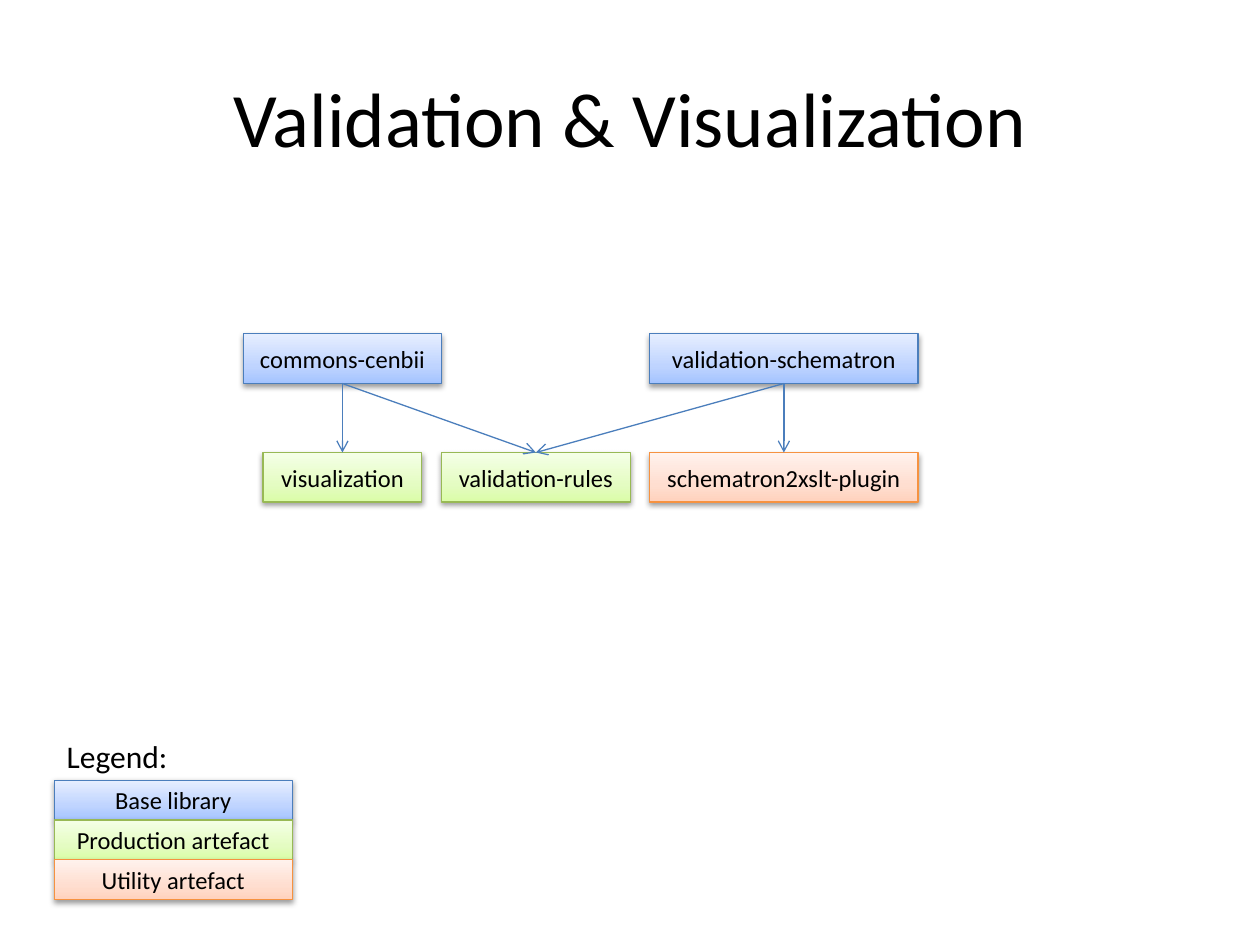
from copy import deepcopy
from dataclasses import dataclass

from lxml.etree import SubElement
from pptx import Presentation
from pptx.dml.color import RGBColor
from pptx.enum.shapes import MSO_CONNECTOR, MSO_SHAPE
from pptx.enum.text import MSO_ANCHOR, PP_ALIGN
from pptx.oxml.ns import qn
from pptx.shapes.autoshape import Shape
from pptx.slide import Slide
from pptx.text.text import TextFrame
from pptx.util import Pt

FONT = "Calibri"
BLACK = RGBColor(0x00, 0x00, 0x00)
BLUE_LINE = RGBColor(0x4B, 0x7E, 0xBC)
GREEN_LINE = RGBColor(0x98, 0xB9, 0x55)
ORANGE_LINE = RGBColor(0xF6, 0x92, 0x40)
BLUE_SHADES = (RGBColor(0xA4, 0xC4, 0xFF), RGBColor(0xBF, 0xD4, 0xFF), RGBColor(0xE6, 0xEE, 0xFF))
GREEN_SHADES = (RGBColor(0xDA, 0xFD, 0xA7), RGBColor(0xE4, 0xFC, 0xC2), RGBColor(0xF5, 0xFF, 0xE7))
ORANGE_SHADES = (RGBColor(0xFF, 0xD2, 0xBD), RGBColor(0xFF, 0xDE, 0xD0), RGBColor(0xFF, 0xF2, 0xED))

GRADIENT_POSITIONS = (0, 0.35, 1)
LINE_WIDTH = 0.75
LIBRARY_TOP, ARTEFACT_TOP, MODULE_HEIGHT = 190.8, 258.6, 28.35
LEGEND_LEFT, LEGEND_TOP, LEGEND_WIDTH, LEGEND_ROW = 31, 445.9, 136, 22.68
BOTTOM_SITE, TOP_SITE = 2, 0


@dataclass(frozen=True)
class Category:
    label: str
    line: RGBColor
    shades: tuple[RGBColor, RGBColor, RGBColor]


@dataclass(frozen=True)
class Module:
    name: str
    left: float
    top: float
    width: float
    category: Category


LIBRARY = Category("Base library", BLUE_LINE, BLUE_SHADES)
PRODUCTION = Category("Production artefact", GREEN_LINE, GREEN_SHADES)
UTILITY = Category("Utility artefact", ORANGE_LINE, ORANGE_SHADES)

MODULES = (
    Module("commons-cenbii", 139, LIBRARY_TOP, 113.4, LIBRARY),
    Module("validation-schematron", 371.3, LIBRARY_TOP, 153.3, LIBRARY),
    Module("visualization", 150.3, ARTEFACT_TOP, 90.8, PRODUCTION),
    Module("validation-rules", 252.3, ARTEFACT_TOP, 107.8, PRODUCTION),
    Module("schematron2xslt-plugin", 371.3, ARTEFACT_TOP, 153.3, UTILITY),
)

DEPENDENCIES = (
    ("commons-cenbii", "visualization"),
    ("commons-cenbii", "validation-rules"),
    ("validation-schematron", "validation-rules"),
    ("validation-schematron", "schematron2xslt-plugin"),
)


def write(frame: TextFrame, text: str, size: float, align: PP_ALIGN) -> None:
    frame.text = text
    paragraph = frame.paragraphs[0]
    paragraph.alignment = align
    font = paragraph.runs[0].font
    font.name, font.size = FONT, Pt(size)
    font.color.rgb = BLACK


def fill_gradient(box: Shape, shades: tuple[RGBColor, ...]) -> None:
    box.fill.gradient()
    box.fill.gradient_angle = 90
    stop_list = next(box._element.spPr.iter(qn("a:gsLst")))
    stop_list.append(deepcopy(stop_list[0]))
    for stop, shade, position in zip(box.fill.gradient_stops, shades, GRADIENT_POSITIONS):
        stop.color.rgb = shade
        stop.position = position


def add_soft_shadow(box: Shape) -> None:
    box.shadow.inherit = False
    effects = box._element.spPr.find(qn("a:effectLst"))
    shadow = SubElement(effects, qn("a:outerShdw"), blurRad=str(Pt(3.15)),
                        dist=str(Pt(1.57)), dir="5400000", rotWithShape="0")
    color = SubElement(shadow, qn("a:srgbClr"), val=str(BLACK))
    SubElement(color, qn("a:alpha"), val="38000")


def add_box(slide: Slide, text: str, left: float, top: float, width: float,
            height: float, category: Category) -> Shape:
    box = slide.shapes.add_shape(MSO_SHAPE.RECTANGLE, Pt(left), Pt(top), Pt(width), Pt(height))
    fill_gradient(box, category.shades)
    box.line.color.rgb = category.line
    box.line.width = Pt(LINE_WIDTH)
    add_soft_shadow(box)
    box.text_frame.vertical_anchor = MSO_ANCHOR.MIDDLE
    write(box.text_frame, text, 14, PP_ALIGN.CENTER)
    return box


def add_arrow(slide: Slide, source: Shape, target: Shape) -> None:
    arrow = slide.shapes.add_connector(MSO_CONNECTOR.STRAIGHT, 0, 0, 0, 0)
    arrow.begin_connect(source, BOTTOM_SITE)
    arrow.end_connect(target, TOP_SITE)
    arrow.line.color.rgb = BLUE_LINE
    arrow.line.width = Pt(LINE_WIDTH)
    SubElement(arrow.line._get_or_add_ln(), qn("a:tailEnd"), type="arrow")
    SubElement(arrow._element.spPr, qn("a:effectLst"))


def add_title(slide: Slide) -> None:
    title = slide.shapes.title
    title.left, title.top, title.width, title.height = Pt(36), Pt(21.6), Pt(648), Pt(90)
    title.text_frame.vertical_anchor = MSO_ANCHOR.MIDDLE
    write(title.text_frame, "Validation & Visualization", 44, PP_ALIGN.CENTER)


def add_legend(slide: Slide) -> None:
    heading = slide.shapes.add_textbox(Pt(LEGEND_LEFT), Pt(417.6), Pt(72.7), Pt(29))
    heading.text_frame.word_wrap = False
    write(heading.text_frame, "Legend:", 18, PP_ALIGN.LEFT)
    for row, category in enumerate((LIBRARY, PRODUCTION, UTILITY)):
        add_box(slide, category.label, LEGEND_LEFT, LEGEND_TOP + row * LEGEND_ROW,
                LEGEND_WIDTH, LEGEND_ROW, category)


def main() -> None:
    presentation = Presentation()
    presentation.slide_width, presentation.slide_height = Pt(720), Pt(540)
    slide = presentation.slides.add_slide(presentation.slide_layouts[5])
    add_title(slide)
    boxes = {
        module.name: add_box(slide, module.name, module.left, module.top,
                             module.width, MODULE_HEIGHT, module.category)
        for module in MODULES
    }
    for source, target in DEPENDENCIES:
        add_arrow(slide, boxes[source], boxes[target])
    add_legend(slide)
    presentation.save("out.pptx")


if __name__ == "__main__":
    main()
